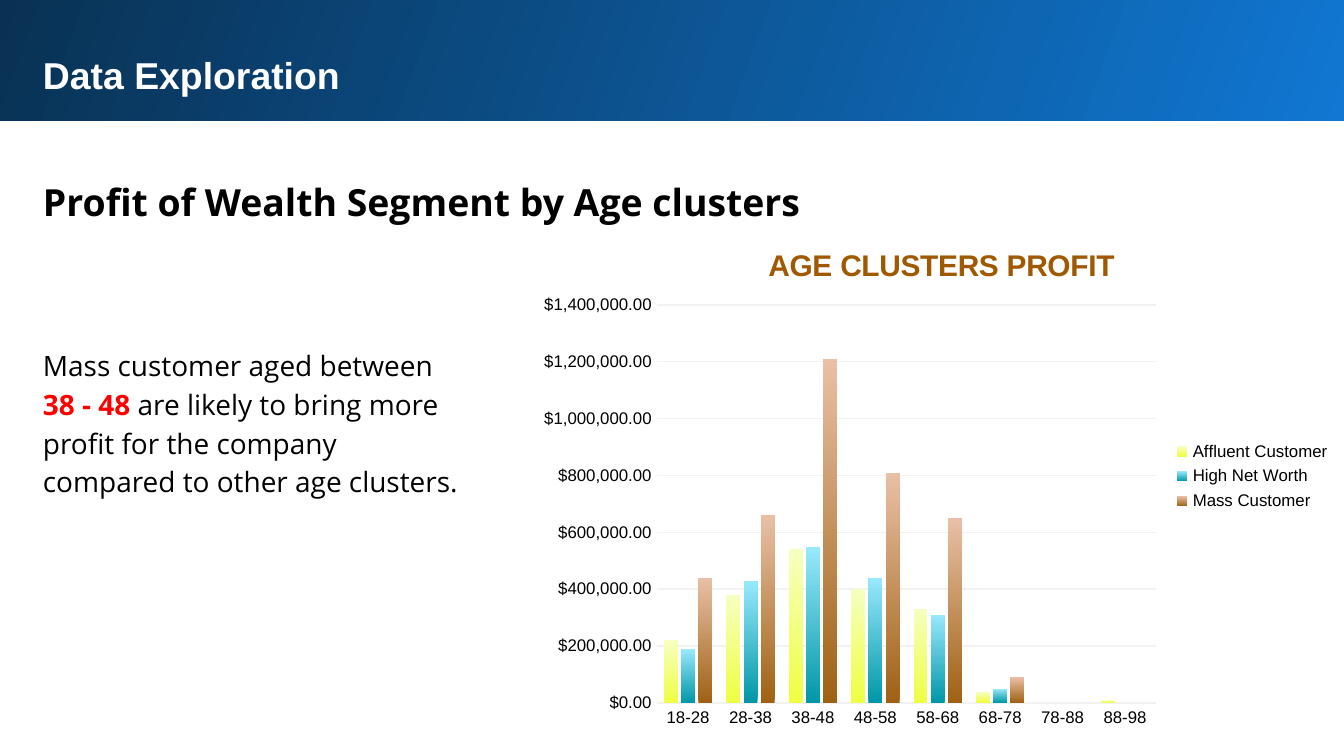
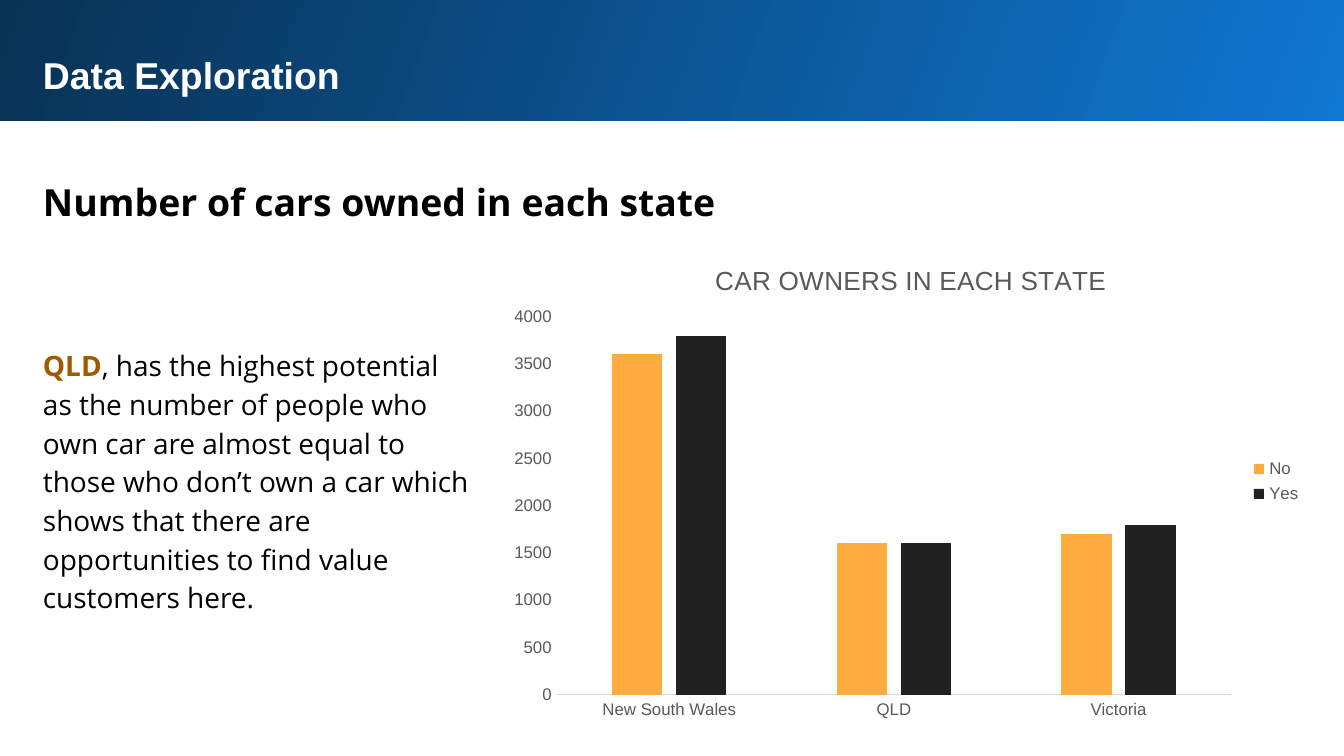
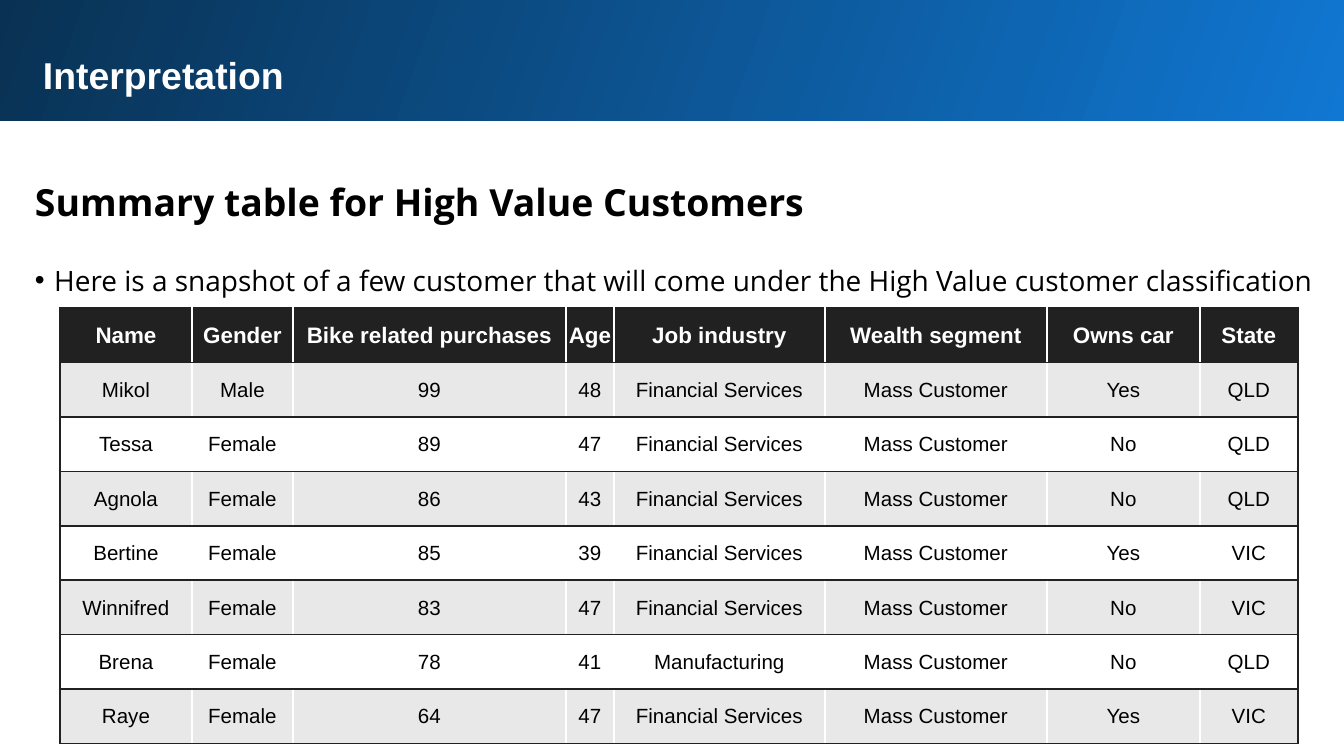
"""Build three slides on customer data: two column charts and a summary table."""
import pptx
import pptx.chart.data
import pptx.dml.color
import pptx.enum.chart
import pptx.enum.shapes
import pptx.enum.text
import pptx.oxml
import pptx.oxml.ns
import pptx.util

RGB = pptx.dml.color.RGBColor
WHITE, BLACK, RED = RGB(255, 255, 255), RGB(0, 0, 0), RGB(255, 0, 0)
BRIGHT_BLUE, NAVY = RGB(0x10, 0x77, 0xD2), RGB(0x09, 0x31, 0x53)
BROWN, CHARCOAL = RGB(0xA0, 0x59, 0x00), RGB(0x21, 0x21, 0x21)
GREY, AXIS_GREY = RGB(0x59, 0x59, 0x59), RGB(0xD9, 0xD9, 0xD9)
GRID_GREY, ROW_GREY = RGB(0xF2, 0xF2, 0xF2), RGB(0xE8, 0xE8, 0xE8)
YELLOW, PALE_YELLOW = RGB(0xEE, 0xFF, 0x41), RGB(0xF7, 0xFF, 0xC0)
TEAL, PALE_TEAL = RGB(0x00, 0x97, 0xA7), RGB(0x99, 0xE9, 0xFC)
COPPER, PALE_COPPER = RGB(0x9F, 0x62, 0x14), RGB(0xE9, 0xC0, 0xA5)
ORANGE = RGB(0xFF, 0xAB, 0x40)
HEADER_FONT, BODY_FONT = "Arial", "Open Sans"

EMU_PER_PIXEL = 914400 / 134.4
SLIDE_WIDTH, SLIDE_HEIGHT = 1344, 756
LEFT, TEXT_WIDTH, INSET = 30, 1259, 13

CHART_SLIDES = [
    {
        "header": "Data Exploration",
        "heading": "Profit of Wealth Segment by Age clusters",
        "finding": [
            ("Mass customer aged between ", BLACK, False),
            ("38 - 48", RED, True),
            (" are likely to bring more profit for the company compared to other age clusters.", BLACK, False),
        ],
        "finding_height": 180,
        "title": ("AGE CLUSTERS PROFIT", 16, BROWN, True),
        "title_corner": (763, 241),
        "frame": (528, 216, 816, 521),
        "plot": (657, 305, 499, 398),
        "categories": ["18-28", "28-38", "38-48", "48-58", "58-68", "68-78", "78-88", "88-98"],
        "series": [
            ("Affluent Customer", [220000, 380000, 540000, 400000, 330000, 40000, 0, 10000], (YELLOW, PALE_YELLOW)),
            ("High Net Worth", [190000, 430000, 550000, 440000, 310000, 50000, 0, None], (TEAL, PALE_TEAL)),
            ("Mass Customer", [440000, 660000, 1210000, 810000, 650000, 90000, 0, None], (COPPER, PALE_COPPER)),
        ],
        "label_color": BLACK,
        "axis_color": GRID_GREY,
        "gridlines": True,
        "number_format": "[$$-C09]#,##0.00",
        "scale": (1400000, 200000),
        "gap": 100,
        "overlap": -24,
    },
    {
        "header": "Data Exploration",
        "heading": "Number of cars owned in each state",
        "finding": [
            ("QLD", BROWN, True),
            (", has the highest potential as the number of people who own car are almost equal to those "
             "who don’t own a car which shows that there are opportunities to find value customers here.",
             BLACK, False),
        ],
        "finding_height": 298,
        "title": ("CAR OWNERS IN EACH STATE", 14, GREY, False),
        "title_corner": (710, 259),
        "frame": (499, 235, 816, 493),
        "plot": (557, 317, 674, 378),
        "categories": ["New South Wales", "QLD", "Victoria"],
        "series": [
            ("No", [3600, 1600, 1700], (ORANGE,)),
            ("Yes", [3800, 1600, 1800], (CHARCOAL,)),
        ],
        "label_color": GREY,
        "axis_color": AXIS_GREY,
        "gridlines": False,
        "number_format": "General",
        "scale": (4000, 500),
        "gap": 219,
        "overlap": -27,
    },
]

SNAPSHOT = " Here is a snapshot of a few customer that will come under the High Value customer classification"
COLUMNS = [
    ("Name", 132), ("Gender", 101), ("Bike related purchases", 273), ("Age", 48),
    ("Job industry", 211), ("Wealth segment", 222), ("Owns car", 153), ("State", 98),
]
CUSTOMERS = [
    ("Mikol", "Male", "99", "48", "Financial Services", "Mass Customer", "Yes", "QLD"),
    ("Tessa", "Female", "89", "47", "Financial Services", "Mass Customer", "No", "QLD"),
    ("Agnola", "Female", "86", "43", "Financial Services", "Mass Customer", "No", "QLD"),
    ("Bertine", "Female", "85", "39", "Financial Services", "Mass Customer", "Yes", "VIC"),
    ("Winnifred", "Female", "83", "47", "Financial Services", "Mass Customer", "No", "VIC"),
    ("Brena", "Female", "78", "41", "Manufacturing", "Mass Customer", "No", "QLD"),
    ("Raye", "Female", "64", "47", "Financial Services", "Mass Customer", "Yes", "VIC"),
]
TABLE_LEFT, TABLE_TOP, TABLE_HEIGHT = 60, 308, 436


def px(length):
    return pptx.util.Emu(round(length * EMU_PER_PIXEL))


def box(*lengths):
    return [px(length) for length in lengths]


def style_font(font, size, color, bold=False, name=HEADER_FONT):
    font.name, font.size, font.bold = name, pptx.util.Pt(size), bold
    font.color.rgb = color


def paint(fill, colors, angle):
    if len(colors) == 1:
        fill.solid()
        fill.fore_color.rgb = colors[0]
        return
    fill.gradient()
    fill.gradient_angle = angle
    for stop, color in zip(fill.gradient_stops, colors):
        stop.color.rgb = color


def add_text(slide, frame, pieces, size, name=BODY_FONT, spacing=1.15):
    text_frame = slide.shapes.add_textbox(*box(*frame)).text_frame
    text_frame.word_wrap = True
    text_frame.auto_size = pptx.enum.text.MSO_AUTO_SIZE.SHAPE_TO_FIT_TEXT
    text_frame.margin_left = text_frame.margin_right = px(INSET)
    text_frame.margin_top = text_frame.margin_bottom = px(INSET)
    paragraph = text_frame.paragraphs[0]
    paragraph.line_spacing = spacing
    for words, color, bold in pieces:
        run = paragraph.add_run()
        run.text = words
        style_font(run.font, size, color, bold, name)
    return paragraph


def add_slide(deck, header, heading, heading_left=LEFT):
    slide = deck.slides.add_slide(deck.slide_layouts[6])
    band = slide.shapes.add_shape(pptx.enum.shapes.MSO_SHAPE.RECTANGLE, *box(-3, -3, 1351, 124))
    band.shadow.inherit = False
    band.line.fill.background()
    paint(band.fill, (BRIGHT_BLUE, NAVY), 160)
    add_text(slide, (LEFT, 39, TEXT_WIDTH, 69), [(header, WHITE, True)], 20, HEADER_FONT, 1.0)
    add_text(slide, (heading_left, 159, TEXT_WIDTH, 75), [(heading, BLACK, True)], 20)
    return slide


def place(element, index, **values):
    layout = element.find(pptx.oxml.ns.qn("c:layout"))
    if layout is None:
        layout = pptx.oxml.parse_xml(f"<c:layout {pptx.oxml.ns.nsdecls('c')}/>")
        element.insert(index, layout)
    settings = "".join(f'<c:{tag} val="{value}"/>' for tag, value in values.items())
    layout.append(pptx.oxml.parse_xml(
        f"<c:manualLayout {pptx.oxml.ns.nsdecls('c')}>{settings}</c:manualLayout>"))


def lay_out_chart(chart, content):
    left, top, width, height = content["frame"]
    plot_left, plot_top, plot_width, plot_height = content["plot"]
    title_left, title_top = content["title_corner"]
    place(chart.chart_title._element, 1, xMode="edge", yMode="edge",
          x=round((title_left - left) / width, 3), y=round((title_top - top) / height, 3))
    place(chart._chartSpace.chart.plotArea, 0, layoutTarget="inner", xMode="edge", yMode="edge",
          x=round((plot_left - left) / width, 3), y=round((plot_top - top) / height, 3),
          w=round(plot_width / width, 3), h=round(plot_height / height, 3))


def style_axes(chart, content):
    for axis in (chart.category_axis, chart.value_axis):
        axis.major_tick_mark = axis.minor_tick_mark = pptx.enum.chart.XL_TICK_MARK.NONE
        style_font(axis.tick_labels.font, 9, content["label_color"])
    category_line = chart.category_axis.format.line
    category_line.color.rgb, category_line.width = content["axis_color"], pptx.util.Pt(0.75)
    values = chart.value_axis
    values.format.line.fill.background()
    values.minimum_scale = 0
    values.maximum_scale, values.major_unit = content["scale"]
    values.tick_labels.number_format = content["number_format"]
    values.tick_labels.number_format_is_linked = False
    values.has_major_gridlines = content["gridlines"]
    if content["gridlines"]:
        grid_line = values.major_gridlines.format.line
        grid_line.color.rgb, grid_line.width = GRID_GREY, pptx.util.Pt(0.75)


def add_column_chart(slide, content):
    data = pptx.chart.data.CategoryChartData()
    data.categories = content["categories"]
    for name, values, _ in content["series"]:
        data.add_series(name, values)
    chart = slide.shapes.add_chart(
        pptx.enum.chart.XL_CHART_TYPE.COLUMN_CLUSTERED, *box(*content["frame"]), data).chart
    style_font(chart.font, 10, BLACK)

    title, size, color, bold = content["title"]
    chart.has_title = True
    chart.chart_title.text_frame.text = title
    style_font(chart.chart_title.text_frame.paragraphs[0].runs[0].font, size, color, bold)

    chart.has_legend = True
    chart.legend.position = pptx.enum.chart.XL_LEGEND_POSITION.RIGHT
    chart.legend.include_in_layout = False
    style_font(chart.legend.font, 9, content["label_color"])

    columns = chart.plots[0]
    columns.vary_by_categories = False
    columns.gap_width, columns.overlap = content["gap"], content["overlap"]
    for series, (_, _, colors) in zip(columns.series, content["series"]):
        series.invert_if_negative = False
        paint(series.format.fill, colors, 90)
    style_axes(chart, content)
    lay_out_chart(chart, content)


def add_borders(cell, sides):
    properties = cell._tc.get_or_add_tcPr()
    for side in sides:
        properties.append(pptx.oxml.parse_xml(
            f'<a:ln{side} {pptx.oxml.ns.nsdecls("a")} w="12700"><a:solidFill>'
            f'<a:srgbClr val="{CHARCOAL}"/></a:solidFill></a:ln{side}>'))


def add_customer_table(slide):
    names, widths = zip(*COLUMNS)
    rows = [names] + CUSTOMERS
    table = slide.shapes.add_table(
        len(rows), len(names), *box(TABLE_LEFT, TABLE_TOP, sum(widths), TABLE_HEIGHT)).table
    for column, width in zip(table.columns, widths):
        column.width = px(width)
    for row_number, row in enumerate(rows):
        table.rows[row_number].height = px(TABLE_HEIGHT / len(rows))
        is_header = row_number == 0
        fill_color = CHARCOAL if is_header else (ROW_GREY if row_number % 2 else WHITE)
        for column_number, words in enumerate(row):
            cell = table.cell(row_number, column_number)
            cell.text_frame.text = words
            cell.vertical_anchor = pptx.enum.text.MSO_ANCHOR.MIDDLE
            cell.margin_left = cell.margin_right = cell.margin_top = px(1)
            cell.margin_bottom = 0
            paragraph = cell.text_frame.paragraphs[0]
            paragraph.alignment = pptx.enum.text.PP_ALIGN.CENTER
            style_font(paragraph.runs[0].font, 12 if is_header else 11,
                       WHITE if is_header else BLACK, is_header)
            outer_side = {0: "L", len(row) - 1: "R"}.get(column_number, "")
            add_borders(cell, outer_side + "TB")
            paint(cell.fill, (fill_color,), 0)


def add_bullet(paragraph, indent):
    properties = paragraph._p.get_or_add_pPr()
    properties.set("marL", str(px(indent)))
    properties.set("indent", str(px(-indent)))
    for markup in ('buFont {} typeface="Arial"', 'buChar {} char="•"'):
        properties.append(pptx.oxml.parse_xml(f"<a:{markup.format(pptx.oxml.ns.nsdecls('a'))}/>"))


deck = pptx.Presentation()
deck.slide_width, deck.slide_height = px(SLIDE_WIDTH), px(SLIDE_HEIGHT)

for content in CHART_SLIDES:
    chart_slide = add_slide(deck, content["header"], content["heading"])
    add_text(chart_slide, (LEFT, 331, 454, content["finding_height"]), content["finding"], 15)
    add_column_chart(chart_slide, content)

summary_slide = add_slide(deck, "Interpretation", "Summary table for High Value Customers", 22)
snapshot = add_text(summary_slide, (22, 245, 1313, 63), [(SNAPSHOT, BLACK, False)], 15)
add_bullet(snapshot, 12)
add_customer_table(summary_slide)

deck.save("out.pptx")
